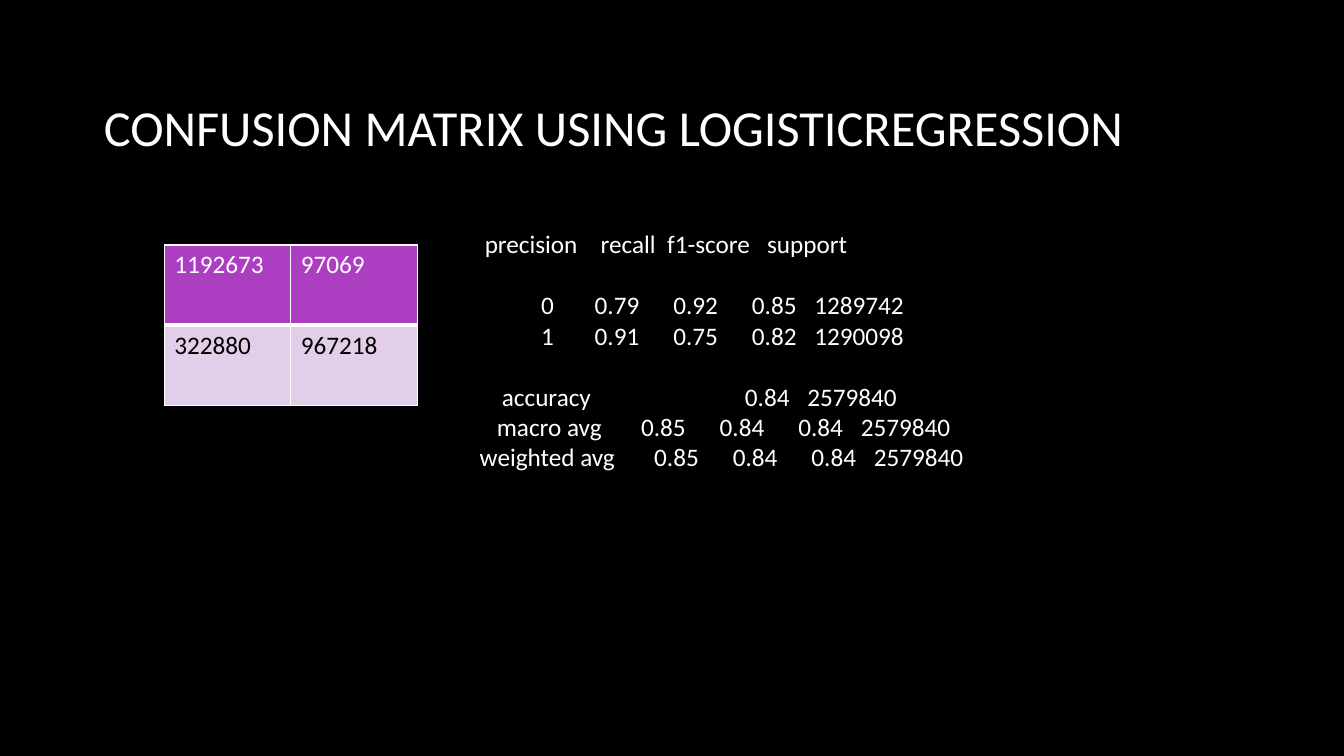
from lxml.etree import SubElement
from pptx import Presentation
from pptx.dml.color import RGBColor
from pptx.enum.text import MSO_ANCHOR, MSO_AUTO_SIZE, PP_ALIGN
from pptx.oxml.ns import qn
from pptx.util import Inches, Pt

COLORS = {
    "back": "000000",
    "light": "FFFFFF",
    "dark": "000000",
    "head": "AC3EC1",
    "body": "E3CEE9",
}
MATRIX = [["1192673", "97069"], ["322880", "967218"]]

# Tab offsets of the four number columns from the first one
STEPS = [0, 0.78, 1.56, 2.18]


def stops(start, cols=(0, 1, 2, 3)):
    return [start + STEPS[col] for col in cols]


# Each line: words, tab position of each word, space before in points
REPORT = [
    (["precision", "recall", "f1-score", "support"], [0.05, 1.2, 1.86, 2.85], 0),
    (["0", "0.79", "0.92", "0.85", "1289742"], [0.61, *stops(1.14)], 22),
    (["1", "0.91", "0.75", "0.82", "1290098"], [0.61, *stops(1.14)], 0),
    (["accuracy", "0.84", "2579840"], [0.22, *stops(1.07, (2, 3))], 22),
    (["macro avg", "0.85", "0.84", "0.84", "2579840"], [0.17, *stops(1.6)], 0),
    (["weighted avg", "0.85", "0.84", "0.84", "2579840"], [0, *stops(1.73)], 0),
]


def color(name):
    return RGBColor.from_string(COLORS[name])


def write(para, text, size=18, ink="light", before=0, tabs=()):
    para.alignment = PP_ALIGN.LEFT
    para.space_before = Pt(before)
    if tabs:
        group = SubElement(para._p.get_or_add_pPr(), qn("a:tabLst"))
        for tab in tabs:
            SubElement(group, qn("a:tab"), pos=str(Inches(tab)), algn="l")
    run = para.add_run()
    run.text = text
    run.font.name = "Calibri"
    run.font.size = Pt(size)
    run.font.color.rgb = color(ink)


def place(shape, box):
    shape.left, shape.top, shape.width, shape.height = map(Inches, box)


def border(cell, **widths):
    props = cell._tc.get_or_add_tcPr()
    for side in "LRTB":
        line = SubElement(props, qn(f"a:ln{side}"), w=str(Pt(widths.get(side, 1))))
        fill = SubElement(line, qn("a:solidFill"))
        SubElement(fill, qn("a:srgbClr"), val=COLORS["light"])


def add_title(slide, box):
    title = slide.shapes.title
    place(title, box)
    frame = title.text_frame
    frame.auto_size = MSO_AUTO_SIZE.NONE
    frame.vertical_anchor = MSO_ANCHOR.MIDDLE
    write(frame.paragraphs[0], "CONFUSION MATRIX USING LOGISTICREGRESSION", size=36)


def add_matrix(slide, box):
    table = slide.shapes.add_table(2, 2, *map(Inches, box)).table
    # Heading row and body row, split by a thick rule
    looks = [("head", "light", {"B": 3}), ("body", "dark", {"T": 3})]
    for row, (values, (fill, ink, rule)) in enumerate(zip(MATRIX, looks)):
        for col, value in enumerate(values):
            cell = table.cell(row, col)
            border(cell, **rule)
            cell.fill.solid()
            cell.fill.fore_color.rgb = color(fill)
            write(cell.text_frame.paragraphs[0], value, ink=ink)


def add_report(slide, box):
    frame = slide.shapes.add_textbox(*map(Inches, box)).text_frame
    frame.word_wrap = True
    for index, (words, tabs, before) in enumerate(REPORT):
        para = frame.add_paragraph() if index else frame.paragraphs[0]
        lead = "\t" if tabs[0] else ""
        used = tabs if lead else tabs[1:]
        write(para, lead + "\t".join(words), before=before, tabs=used)


def main():
    deck = Presentation()
    deck.slide_width, deck.slide_height = Inches(13.33), Inches(7.5)
    slide = deck.slides.add_slide(deck.slide_layouts.get_by_name("Title Only"))
    slide.background.fill.solid()
    slide.background.fill.fore_color.rgb = color("back")
    add_title(slide, (0.93, 0.46, 11.08, 1.59))
    add_matrix(slide, (1.63, 2.43, 2.51, 1.59))
    add_report(slide, (4.66, 2.22, 6.66, 2.52))
    deck.save("out.pptx")


if __name__ == "__main__":
    main()
